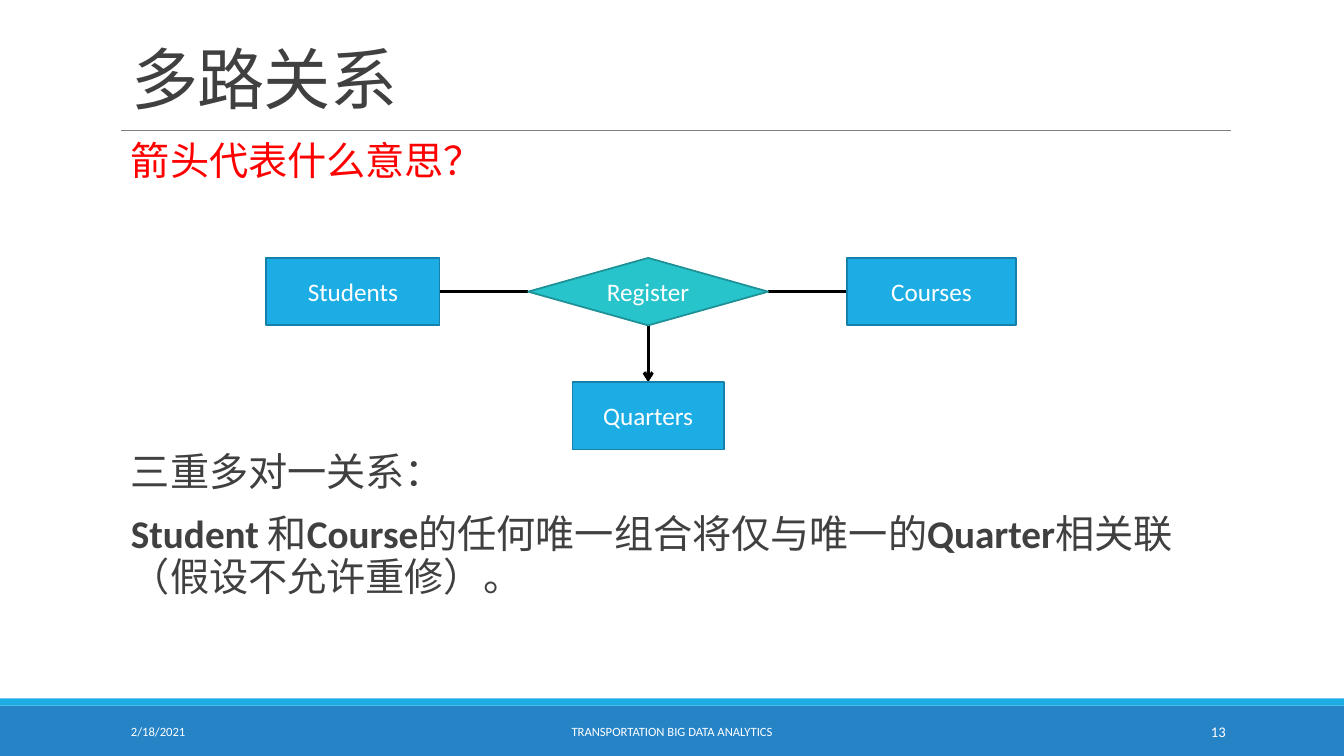
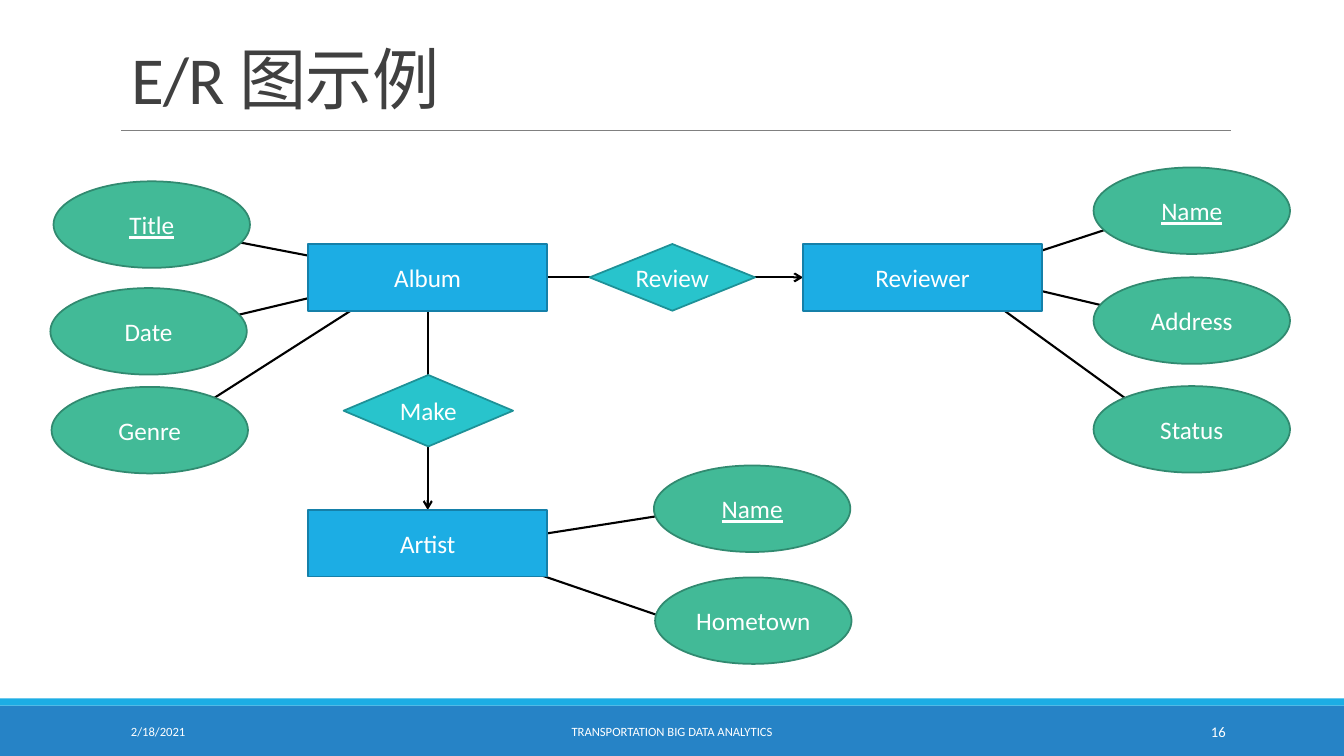
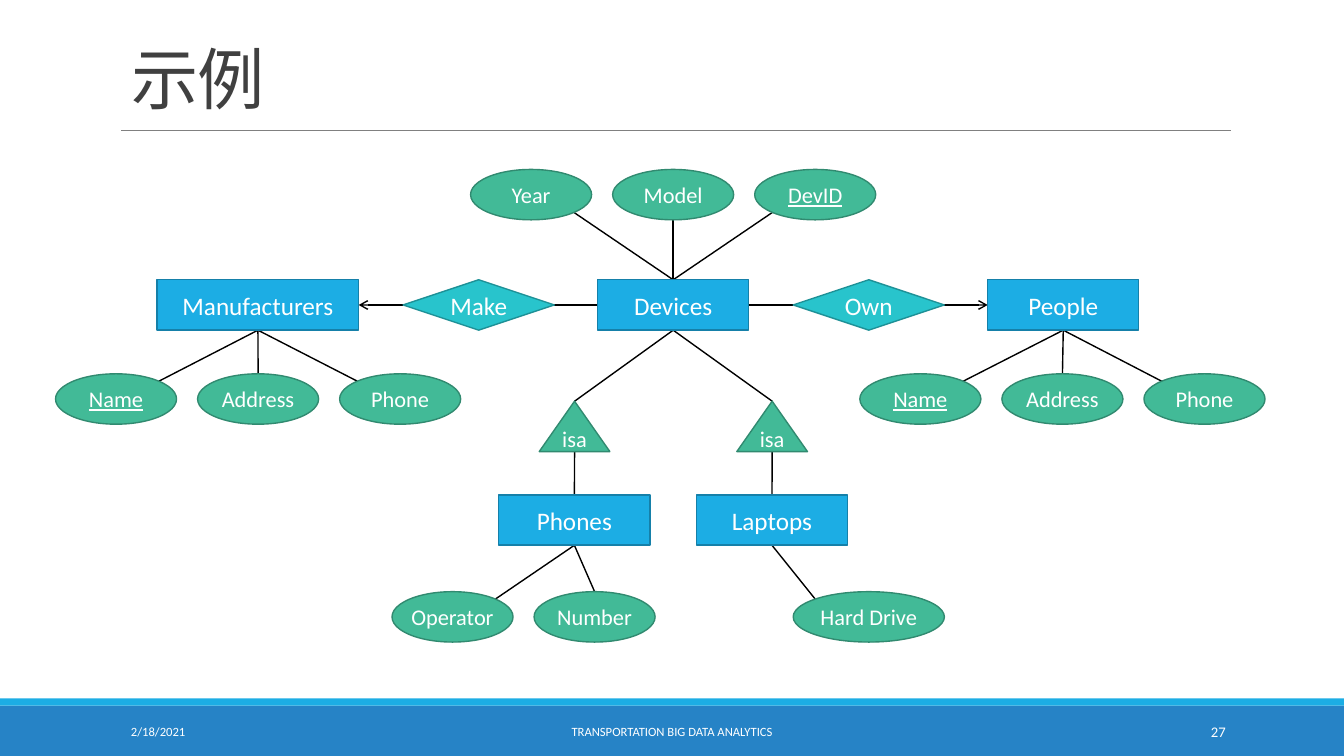
from dataclasses import dataclass
from typing import NamedTuple

from lxml.etree import SubElement
from pptx import Presentation
from pptx.dml.color import RGBColor
from pptx.enum.shapes import MSO_CONNECTOR as Wire, MSO_SHAPE as Form
from pptx.enum.text import MSO_ANCHOR as Anchor, MSO_AUTO_SIZE as Fit, PP_ALIGN as Align
from pptx.oxml.ns import qn
from pptx.util import Cm, Pt

FONT = "Calibri"
WHITE = RGBColor(0xFF, 0xFF, 0xFF)
BLACK = RGBColor(0x00, 0x00, 0x00)
RED = RGBColor(0xFF, 0x00, 0x00)
INK = RGBColor(0x40, 0x40, 0x40)
GRAY = RGBColor(0x80, 0x80, 0x80)
NAVY = RGBColor(0x26, 0x83, 0xC6)
BLUE = RGBColor(0x1C, 0xAD, 0xE4)
BLUE_EDGE = RGBColor(0x15, 0x80, 0xA9)
TEAL = RGBColor(0x28, 0xC4, 0xCC)
TEAL_EDGE = RGBColor(0x1E, 0x91, 0x97)
GREEN = RGBColor(0x42, 0xBA, 0x97)
GREEN_EDGE = RGBColor(0x31, 0x8A, 0x70)

WIDTH, HEIGHT = 33.87, 19.05
LEFT, SPAN = 3.05, 27.94
DATE = "2/18/2021"
COURSE = "TRANSPORTATION BIG DATA ANALYTICS"


class Spot(NamedTuple):
    x: float
    y: float


class Look(NamedTuple):
    form: Form
    fill: RGBColor
    edge: RGBColor


ENTITY = Look(Form.RECTANGLE, BLUE, BLUE_EDGE)
CHOICE = Look(Form.FLOWCHART_DECISION, TEAL, TEAL_EDGE)
BOND = Look(Form.DIAMOND, TEAL, TEAL_EDGE)
TRAIT = Look(Form.OVAL, GREEN, GREEN_EDGE)
ISA = Look(Form.ISOSCELES_TRIANGLE, GREEN, GREEN_EDGE)


@dataclass
class Node:
    look: Look
    text: str
    x: float
    y: float
    w: float
    h: float
    size: float = 18
    key: bool = False

    def spot(self, dx: float, dy: float) -> Spot:
        return Spot(self.x + self.w * (1 + dx) / 2, self.y + self.h * (1 + dy) / 2)

    @property
    def top(self) -> Spot:
        return self.spot(0, -1)

    @property
    def base(self) -> Spot:
        return self.spot(0, 1)

    @property
    def west(self) -> Spot:
        return self.spot(-1, 0)

    @property
    def east(self) -> Spot:
        return self.spot(1, 0)


@dataclass
class Link:
    start: Spot
    end: Spot
    arrow: bool = False


def put(para, text: str, *, size: float = 18, color: RGBColor = WHITE, bold: bool = False,
        under: bool = False, align: Align = Align.LEFT, track: int = 0) -> None:
    para.alignment = align
    run = para.add_run()
    run.text = text
    font = run.font
    font.name, font.size, font.bold, font.underline = FONT, Pt(size), bold, under
    font.color.rgb = color
    if track:
        run._r.get_or_add_rPr().set("spc", str(track))


def add_box(slide, x: float, y: float, w: float, h: float, anchor: Anchor = Anchor.MIDDLE):
    frame = slide.shapes.add_textbox(Cm(x), Cm(y), Cm(w), Cm(h)).text_frame
    frame.word_wrap = True
    frame.vertical_anchor = anchor
    return frame


def add_band(slide, y: float, h: float, color: RGBColor) -> None:
    band = slide.shapes.add_shape(Form.RECTANGLE, 0, Cm(y), Cm(WIDTH), Cm(h))
    band.shadow.inherit = False
    band.fill.solid()
    band.fill.fore_color.rgb = color
    band.line.fill.background()


def add_link(slide, link: Link, weight: float, color: RGBColor = BLACK) -> None:
    wire = slide.shapes.add_connector(
        Wire.STRAIGHT, *(Cm(v) for v in (*link.start, *link.end)))
    wire.line.color.rgb = color
    wire.line.width = Pt(weight)
    if link.arrow:
        SubElement(wire.line._get_or_add_ln(), qn("a:tailEnd"), type="arrow")
    SubElement(wire._element.spPr, qn("a:effectLst"))


def add_node(slide, node: Node, edge: float) -> None:
    shape = slide.shapes.add_shape(
        node.look.form, Cm(node.x), Cm(node.y), Cm(node.w), Cm(node.h))
    shape.shadow.inherit = False
    shape.fill.solid()
    shape.fill.fore_color.rgb = node.look.fill
    shape.line.color.rgb = node.look.edge
    shape.line.width = Pt(edge)
    frame = shape.text_frame
    frame.word_wrap = False
    frame.vertical_anchor = Anchor.MIDDLE
    put(frame.paragraphs[0], node.text, size=node.size, under=node.key, align=Align.CENTER)


def draw(slide, nodes: list[Node], links: list[Link], weight: float, edge: float) -> None:
    for link in links:
        add_link(slide, link, weight)
    for node in nodes:
        add_node(slide, node, edge)


def add_slide(deck, title: str, number: int):
    slide = deck.slides.add_slide(deck.slide_layouts[5])
    add_band(slide, 17.78, 1.27, NAVY)
    add_band(slide, 17.6, 0.18, BLUE)
    add_link(slide, Link(Spot(LEFT, 3.28), Spot(31.01, 3.28)), 0.5, GRAY)
    head = slide.shapes.title
    head.left, head.top, head.width, head.height = Cm(LEFT), Cm(0.33), Cm(SPAN), Cm(2.77)
    frame = head.text_frame
    frame.auto_size = Fit.NONE
    frame.vertical_anchor = Anchor.BOTTOM
    para = frame.paragraphs[0]
    para.line_spacing = 0.85
    put(para, title, size=48, color=INK, track=-50)
    for x, w, text, size, align in (
            (LEFT, 6.86, DATE, 9, Align.LEFT),
            (10.24, 13.39, COURSE, 9, Align.CENTER),
            (27.51, 3.63, str(number), 10.5, Align.RIGHT)):
        put(add_box(slide, x, 17.93, w, 1.02).paragraphs[0], text, size=size, align=align)
    return slide


def add_ways(deck) -> None:
    slide = add_slide(deck, "多路关系", 13)
    frame = add_box(slide, LEFT, 3.45, SPAN, 14.05, Anchor.TOP)
    frame.margin_right = 0
    lines = (
        (12, RED, ["箭头代表什么意思？"]),
        (190, INK, ["三重多对一关系："]),
        (12, INK, ["", "Student ", "和", "Course", "的任何唯一组合将仅与唯一的", "Quarter",
                   "相关联（假设不允许重修）。"]),
    )
    for i, (before, color, parts) in enumerate(lines):
        para = frame.add_paragraph() if i else frame.paragraphs[0]
        para.line_spacing = 0.9
        para.space_before, para.space_after = Pt(before), Pt(2)
        for j, part in enumerate(parts):
            if part:
                put(para, part, size=28, color=color, bold=j % 2 == 1)

    students = Node(ENTITY, "Students", 6.71, 6.5, 4.37, 1.7)
    courses = Node(ENTITY, "Courses", 21.34, 6.5, 4.27, 1.7)
    quarters = Node(ENTITY, "Quarters", 14.43, 9.63, 3.81, 1.7)
    enroll = Node(CHOICE, "Register", 13.31, 6.5, 6.05, 1.7)
    links = [
        Link(students.east, enroll.west),
        Link(enroll.east, courses.west),
        Link(enroll.base, quarters.top, arrow=True),
    ]
    draw(slide, [enroll, students, quarters, courses], links, 2.25, 1.25)


def add_album(deck) -> None:
    slide = add_slide(deck, "E/R 图示例", 16)
    album, artist, critic = (
        Node(ENTITY, text, x, y, 6.02, 1.68)
        for text, x, y in (("Album", 7.77, 6.15), ("Artist", 7.77, 12.85),
                           ("Reviewer", 20.24, 6.15)))
    bonds = [Node(BOND, "Make", 8.66, 9.45, 4.27, 1.8),
             Node(BOND, "Review", 14.86, 6.15, 4.17, 1.68)]
    traits = [
        Node(TRAIT, text, x, y, 4.95, 2.18, key=text in ("Name", "Title"))
        for text, x, y in (
            ("Name", 16.48, 11.73), ("Hometown", 16.51, 14.55),
            ("Name", 27.56, 4.22), ("Address", 27.56, 6.99), ("Status", 27.56, 9.73),
            ("Title", 1.35, 4.57), ("Date", 1.27, 7.26), ("Genre", 1.3, 9.75))]
    ends = (
        (17.88, 12.8, 12.19, 13.69), (17.88, 15.95, 12.19, 14),
        (29.11, 5.38, 25.04, 6.71), (29.49, 8.1, 24.79, 6.99), (29.26, 10.69, 24.61, 7.32),
        (4.65, 5.84, 9.68, 6.81), (4.34, 8.33, 9.55, 7.09), (4.19, 10.8, 9.73, 7.26))
    links = [Link(Spot(a, b), Spot(c, d)) for a, b, c, d in ends]
    links += [Link(album.east, critic.west, arrow=True),
              Link(album.base, artist.top, arrow=True)]
    draw(slide, [*bonds, album, artist, critic, *traits], links, 1.5, 1.25)


def fan(hub: Spot, x: float, y: float, names: list[str],
        key: str) -> tuple[list[Node], list[Link]]:
    nodes = [Node(TRAIT, name, x + 3.58 * i, y, 3.05, 1.27, 16, name == key)
             for i, name in enumerate(names)]
    side = -1 if y > hub.y else 1
    slots = ((0.71, 0.71 * side), (0, side), (-0.71, 0.71 * side))
    return nodes, [Link(node.spot(*slot), hub) for node, slot in zip(nodes, slots)]


def add_goods(deck) -> None:
    slide = add_slide(deck, "示例", 27)
    row, tall, wide = 7.05, 1.27, 3.81
    makers = Node(ENTITY, "Manufacturers", 3.96, row, 5.08, tall)
    goods = Node(ENTITY, "Devices", 15.06, row, wide, tall)
    people = Node(ENTITY, "People", 24.89, row, wide, tall)
    make = Node(BOND, "Make", 10.16, row, wide, tall)
    own = Node(BOND, "Own", 19.99, row, wide, tall)
    nodes = [makers, goods, people, make, own]
    links = [
        Link(make.west, makers.east, arrow=True),
        Link(make.east, goods.west),
        Link(goods.east, own.west),
        Link(own.east, people.west, arrow=True),
    ]
    kinds = []
    for text, x in (("Phones", 12.57), ("Laptops", 17.55)):
        kind = Node(ENTITY, text, x, 12.47, wide, tall)
        isa = Node(ISA, "isa", x + 1.02, 10.11, 1.78, tall, 16)
        kinds.append(kind)
        nodes += [kind, isa]
        links += [Link(goods.base, isa.top), Link(isa.base, kind.top)]
    phones, laptops = kinds

    person = ["Name", "Address", "Phone"]
    for hub, x, y, names, key in (
            (makers.base, 1.4, 9.42, person, "Name"),
            (people.base, 21.67, 9.42, person, "Name"),
            (goods.top, 11.86, 4.27, ["Year", "Model", "DevID"], "DevID"),
            (phones.base, 9.88, 14.91, ["Operator", "Number"], "")):
        traits, spokes = fan(hub, x, y, names, key)
        nodes += traits
        links += spokes
    drive = Node(TRAIT, "Hard Drive", 19.99, 14.91, wide, tall, 16)
    nodes.append(drive)
    links.append(Link(laptops.base, drive.spot(-0.71, -0.71)))
    draw(slide, nodes, links, 1, 1)


def main() -> None:
    deck = Presentation()
    deck.slide_width, deck.slide_height = Cm(WIDTH), Cm(HEIGHT)
    add_ways(deck)
    add_album(deck)
    add_goods(deck)
    deck.save("out.pptx")


main()
